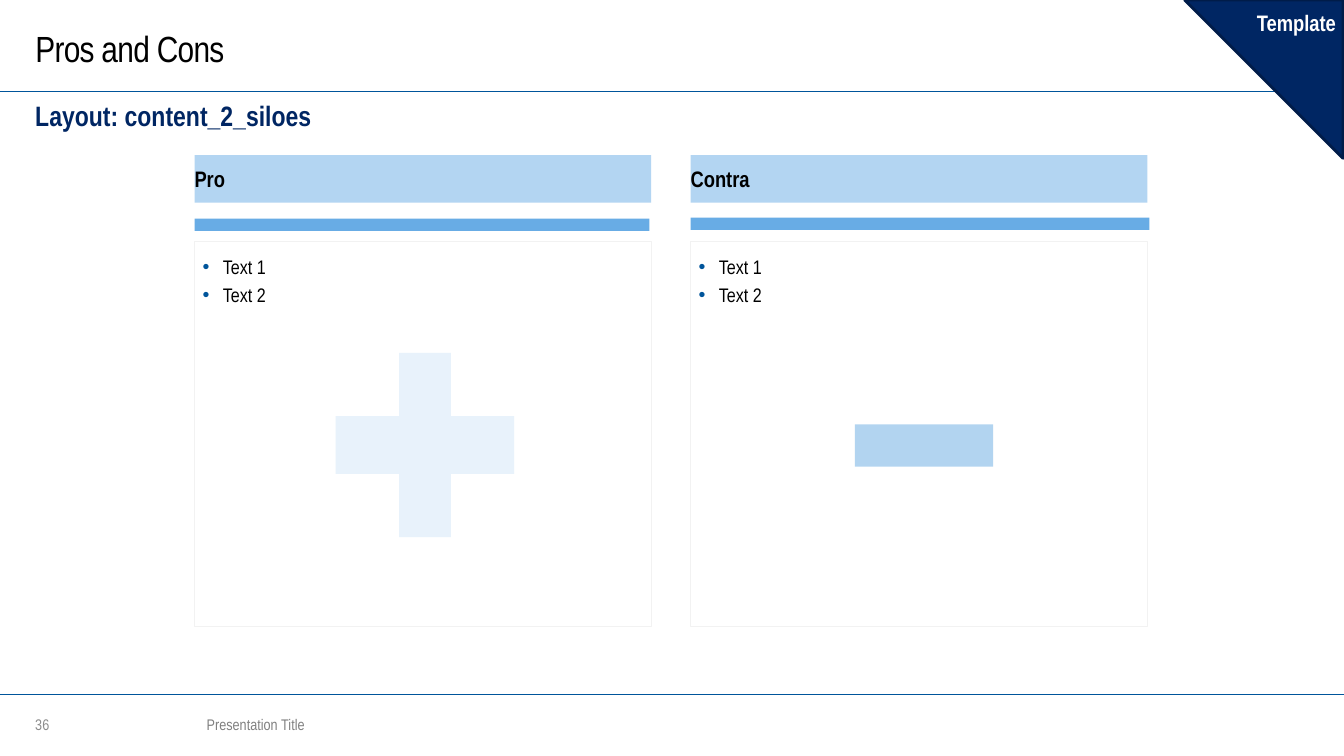
from lxml import etree
from pptx import Presentation
from pptx.dml.color import RGBColor
from pptx.enum import shapes, text
from pptx.oxml import ns
from pptx.util import Inches, Pt

BLACK = RGBColor(0x00, 0x00, 0x00)
WHITE = RGBColor(0xFF, 0xFF, 0xFF)
NAVY = RGBColor(0x00, 0x26, 0x63)
NAVY_EDGE = RGBColor(0x00, 0x1C, 0x49)
RULE_BLUE = RGBColor(0x00, 0x55, 0x9B)
BAR_BLUE = RGBColor(0x68, 0xAC, 0xE5)
PALE_BLUE = RGBColor(0xB3, 0xD5, 0xF2)
SIGN_BLUE = RGBColor(0x00, 0x72, 0xCF)
FRAME_GRAY = RGBColor(0xF2, 0xF2, 0xF2)
NUMBER_GRAY = RGBColor(0x8C, 0x8C, 0x8C)
FOOTER_GRAY = RGBColor(0x80, 0x80, 0x80)
MSO = shapes.MSO_SHAPE
MIDDLE, TOP = text.MSO_ANCHOR.MIDDLE, text.MSO_ANCHOR.TOP

prs = Presentation()
prs.slide_width, prs.slide_height = Inches(13.33), Inches(7.5)
s = prs.slides.add_slide(prs.slide_layouts[5])


def add_box(kind, box, fill=None, alpha=None):
    sp = s.shapes.add_shape(kind, *[Inches(v) for v in box])
    sp.shadow.inherit = False
    sp.line.fill.background()
    if fill is None:
        sp.fill.background()
    else:
        sp.fill.solid()
        sp.fill.fore_color.rgb = fill
    if alpha:
        clr = sp.fill._xPr.find(".//" + ns.qn("a:srgbClr"))
        etree.SubElement(clr, ns.qn("a:alpha")).set("val", str(alpha * 1000))
    return sp


def write(sp, words, size, color, bold=False, anchor=MIDDLE, align=text.PP_ALIGN.LEFT, inset=0):
    tf = sp.text_frame
    tf.text = words
    tf.word_wrap = True
    tf.auto_size = text.MSO_AUTO_SIZE.NONE
    tf.vertical_anchor = anchor
    tf.margin_left = tf.margin_top = Inches(inset)
    tf.margin_right = tf.margin_bottom = 0
    for p in tf.paragraphs:
        p.alignment = align
        for r in p.runs:
            r.font.name = "Arial Narrow"
            r.font.size = Pt(size)
            r.font.bold = bold
            r.font.color.rgb = color
    return tf


for y in (6.89, 0.91):
    rule = s.shapes.add_connector(shapes.MSO_CONNECTOR.STRAIGHT, 0, Inches(y), prs.slide_width, Inches(y))
    rule.line.color.rgb = RULE_BLUE
    rule.line.width = Pt(1)
    etree.SubElement(rule._element.spPr, ns.qn("a:effectLst"))

title = s.shapes.title
title.left, title.top, title.width, title.height = [Inches(v) for v in (0.35, 0.04, 9.72, 0.87)]
tf = write(title, "Pros and Cons", 26, BLACK)
tf.paragraphs[0].runs[0].font._element.set("spc", "-50")

for box, words, size, color, bold, anchor in (
    ((0.35, 0.98, 12.6, 0.34), "Layout: content_2_siloes", 20, NAVY, True, TOP),
    ((0.35, 7.05, 0.37, 0.28), "36", 11, NUMBER_GRAY, False, MIDDLE),
    ((2.05, 7.05, 6.82, 0.28), "Presentation Title", 11, FOOTER_GRAY, False, MIDDLE),
):
    label = s.shapes.add_textbox(*[Inches(v) for v in box])
    write(label, words, size, color, bold, anchor)

for x, heading, bar_top, bar_width in ((1.93, "Pro", 2.17, 4.51), (6.85, "Contra", 2.16, 4.55)):
    add_box(MSO.RECTANGLE, (x, bar_top, bar_width, 0.12), BAR_BLUE)
    header = add_box(MSO.RECTANGLE, (x, 1.54, 4.53, 0.47), PALE_BLUE)
    write(header, heading, 16, BLACK, True)
    panel = add_box(MSO.RECTANGLE, (x, 2.4, 4.53, 3.82))
    panel.line.color.rgb = FRAME_GRAY
    panel.line.width = Pt(0.75)
    tf = write(panel, "Text 1\nText 2", 14, BLACK, anchor=TOP, inset=0.08)
    for p in tf.paragraphs:
        p.line_spacing = 1.2
        pPr = p._p.get_or_add_pPr()
        pPr.set("marL", str(Inches(0.2)))
        pPr.set("indent", str(-Inches(0.2)))
        bullet_color = etree.SubElement(pPr, ns.qn("a:buClr"))
        etree.SubElement(bullet_color, ns.qn("a:srgbClr")).set("val", str(RULE_BLUE))
        etree.SubElement(pPr, ns.qn("a:buFont")).set("typeface", "Arial")
        etree.SubElement(pPr, ns.qn("a:buChar")).set("char", "•")

add_box(MSO.RECTANGLE, (8.48, 4.21, 1.37, 0.42), SIGN_BLUE, 30)
plus = add_box(MSO.CROSS, (3.33, 3.5, 1.77, 1.83), PALE_BLUE, 30)
plus.adjustments[0] = 0.355

corner = add_box(MSO.ISOSCELES_TRIANGLE, (11.75, 0, 1.57, 1.57), NAVY)
corner.adjustments[0] = 1
corner.rotation = 270
corner.line.color.rgb = NAVY_EDGE
corner.line.width = Pt(2)
tag = s.shapes.add_textbox(Inches(12.05), Inches(0.08), Inches(1.2), Inches(0.28))
write(tag, "Template", 16, WHITE, True, align=text.PP_ALIGN.RIGHT)

prs.save("out.pptx")
